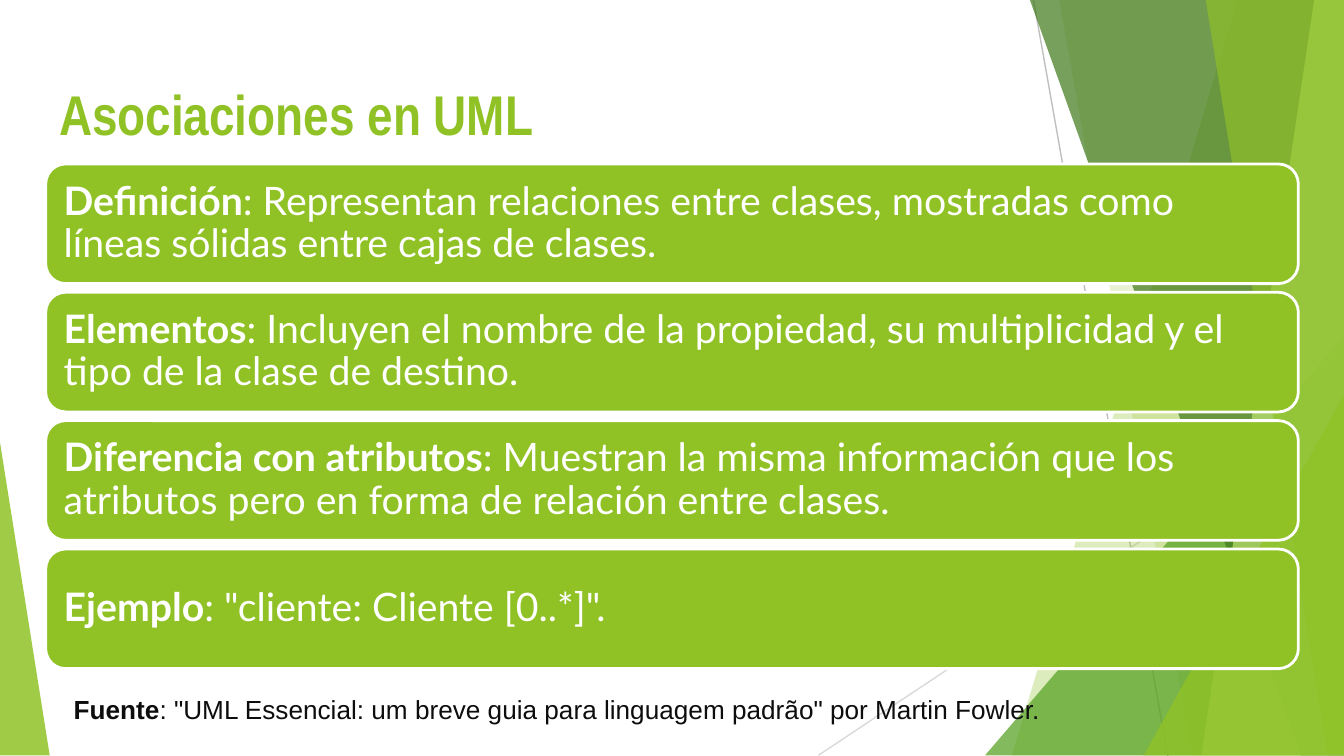
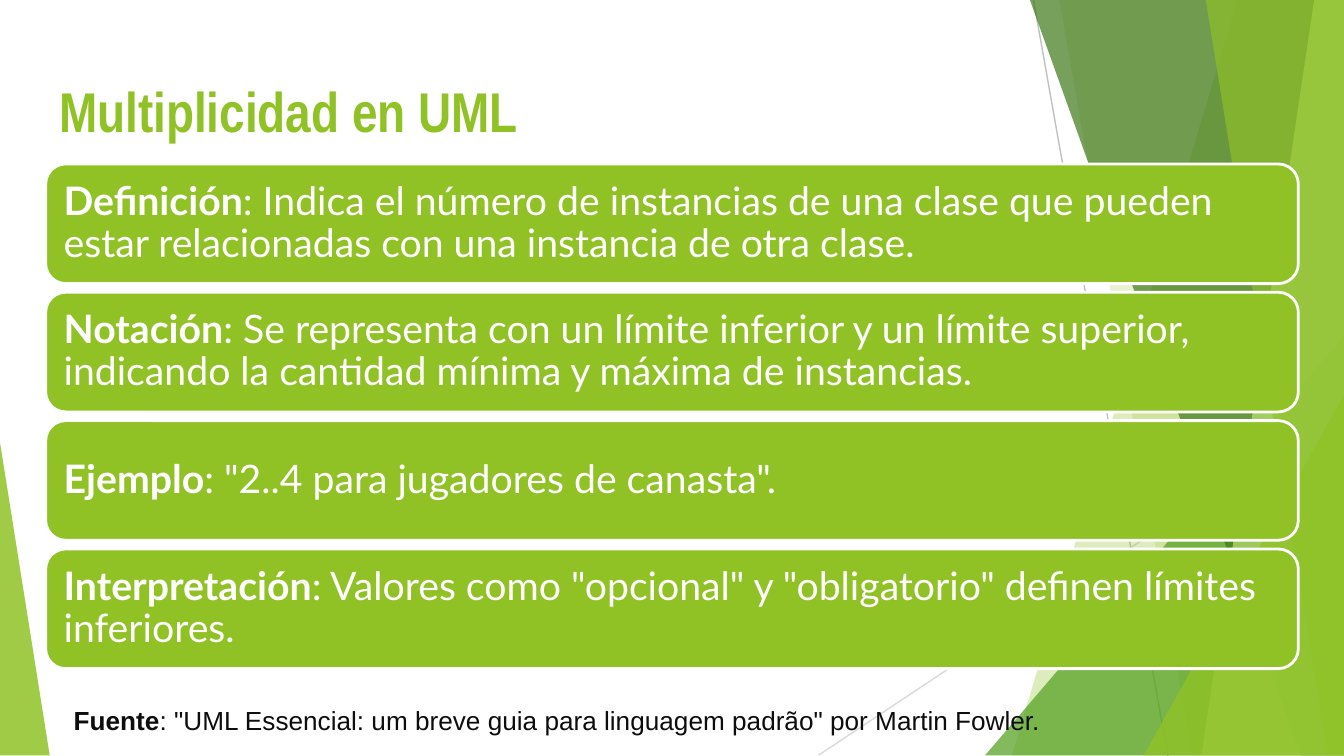
import pptx
import pptx.util
from lxml import etree
from pptx.dml.color import RGBColor
from pptx.enum.shapes import MSO_CONNECTOR, MSO_SHAPE
from pptx.enum.text import MSO_ANCHOR, MSO_AUTO_SIZE, PP_ALIGN
from pptx.oxml.ns import qn
from pptx.util import Inches

GREEN = RGBColor(0x90, 0xC2, 0x26)
MID_GREEN = RGBColor(0x54, 0xA0, 0x21)
DARK_GREEN = RGBColor(0x3F, 0x78, 0x19)
PALE_GREEN = RGBColor(0xC0, 0xE4, 0x74)
WHITE = RGBColor(0xFF, 0xFF, 0xFF)
INK = RGBColor(0x0D, 0x0D, 0x0D)
GREY = RGBColor(0xBF, 0xBF, 0xBF)
LIGHT_GREY = RGBColor(0xD9, 0xD9, 0xD9)

# Content
SOURCE = ("Fuente", ': "UML Essencial: um breve guia para linguagem padrão" por Martin Fowler.')
SLIDES = [
    {
        "title": "Asociaciones en UML",
        "title_top": 0.49,
        "source_top": 5.11,
        "source_width": 10.26,
        "cards": [
            ("Definición", ": Representan relaciones entre clases, mostradas como "
                           "líneas sólidas entre cajas de clases."),
            ("Elementos", ": Incluyen el nombre de la propiedad, su multiplicidad y el "
                          "tipo de la clase de destino."),
            ("Diferencia con atributos", ": Muestran la misma información que los "
                                         "atributos pero en forma de relación entre clases."),
            ("Ejemplo", ': "cliente: Cliente [0..*]".'),
        ],
    },
    {
        "title": "Multiplicidad en UML",
        "title_top": 0.47,
        "source_top": 5.19,
        "source_width": 9.21,
        "cards": [
            ("Definición", ": Indica el número de instancias de una clase que pueden "
                           "estar relacionadas con una instancia de otra clase."),
            ("Notación", ": Se representa con un límite inferior y un límite superior, "
                         "indicando la cantidad mínima y máxima de instancias."),
            ("Ejemplo", ': "2..4 para jugadores de canasta".'),
            ("Interpretación", ': Valores como "opcional" y "obligatorio" definen límites '
                               "inferiores."),
        ],
    },
]

# Shared geometry, in inches
WIDTH, HEIGHT = 10, 5.625
LEFT, CONTENT_WIDTH = 0.34, 9.32
CARD_TOP, CARD_HEIGHT, CARD_PITCH = 1.22, 0.89, 0.955
BAND_TOP, BAND_BOTTOM = -0.01, 5.62

RAYS = [((7.69, 0), (8.69, 5.63), GREY), ((10, 3.02), (6.09, 5.62), LIGHT_GREY)]
# Bands reach the right edge: top-left x, bottom-left x, colour, opacity %
# Triangles: left, top, width, height, apex position, colour, opacity %
BACKDROP = [
    ("band", 9.21, 7.53, GREEN, 30),
    ("band", 7.88, 8.87, GREEN, 20),
    ("triangle", 7.33, 2.5, 2.67, 3.12, 1, MID_GREEN, 72),
    ("band", 7.66, 9.68, DARK_GREEN, 70),
    ("band", 9.78, 8.94, PALE_GREEN, 70),
    ("band", 8.97, 9.88, GREEN, 65),
    ("triangle", 8.51, 2.94, 1.49, 2.68, 1, GREEN, 80),
    ("triangle", 0, 3.29, 0.37, 2.33, 0, GREEN, 85),
]


def box(*lengths):
    return [Inches(v) for v in lengths]


def write(tf, *texts, size, font, color, bold_first=True, inset=None,
          anchor=MSO_ANCHOR.TOP, spacing=None):
    """Write one left-aligned paragraph; the first run may be bold."""
    tf.word_wrap = True
    tf.vertical_anchor = anchor
    if inset is not None:
        tf.margin_left = tf.margin_top = tf.margin_right = tf.margin_bottom = Inches(inset)
    p = tf.paragraphs[0]
    p.alignment = PP_ALIGN.LEFT
    if spacing:
        p.line_spacing = spacing
    for i, text in enumerate(texts):
        r = p.add_run()
        r.text = text
        r.font.size = pptx.util.Pt(size)
        r.font.name = font
        r.font.color.rgb = color
        r.font.bold = bold_first and i == 0


def paint(sp, color, opacity=100):
    sp.shadow.inherit = False
    sp.fill.solid()
    sp.fill.fore_color.rgb = color
    sp.line.fill.background()
    if opacity < 100:
        clr = sp.fill._xPr.find(qn("a:solidFill"))[0]
        etree.SubElement(clr, qn("a:alpha")).set("val", str(opacity * 1000))


def add_backdrop(s):
    for start, end, color in RAYS:
        line = s.shapes.add_connector(MSO_CONNECTOR.STRAIGHT, *box(*start, *end))
        line.line.color.rgb = color
        line.line.width = pptx.util.Pt(0.75)
        etree.SubElement(line.element.spPr, qn("a:effectLst"))
    for kind, *geometry, color, opacity in BACKDROP:
        if kind == "band":
            top_x, bottom_x = geometry
            corners = [(WIDTH, BAND_TOP), (WIDTH, BAND_BOTTOM), (bottom_x, BAND_BOTTOM)]
            outline = s.shapes.build_freeform(*box(top_x, BAND_TOP))
            outline.add_line_segments([box(*c) for c in corners], close=True)
            sp = outline.convert_to_shape()
        else:
            *frame, apex = geometry
            sp = s.shapes.add_shape(MSO_SHAPE.ISOSCELES_TRIANGLE, *box(*frame))
            sp.adjustments[0] = apex
        paint(sp, color, opacity)


def add_title(s, text, top):
    title = s.shapes.title
    title.left, title.top, title.width, title.height = box(LEFT, top, CONTENT_WIDTH, 0.63)
    title.text_frame.auto_size = MSO_AUTO_SIZE.NONE
    write(title.text_frame, text, size=30, font="Arial Narrow", color=GREEN, inset=0.1)
    s.shapes.element.append(title.element)  # in front of the backdrop


def add_cards(s, cards):
    for i, (term, meaning) in enumerate(cards):
        top = CARD_TOP + i * CARD_PITCH
        sp = s.shapes.add_shape(MSO_SHAPE.ROUNDED_RECTANGLE,
                                *box(LEFT, top, CONTENT_WIDTH, CARD_HEIGHT))
        paint(sp, GREEN)
        sp.line.color.rgb = WHITE
        sp.line.width = pptx.util.Pt(1.5)
        write(sp.text_frame, term, meaning, size=21, font="Lato", color=WHITE,
              inset=0.09, anchor=MSO_ANCHOR.MIDDLE, spacing=0.9)


def add_source(s, top, width):
    tf = s.shapes.add_textbox(*box(0.45, top, width, 0.34)).text_frame
    tf.auto_size = MSO_AUTO_SIZE.SHAPE_TO_FIT_TEXT
    write(tf, *SOURCE, size=14, font="Arial", color=INK)


def main():
    prs = pptx.Presentation()
    prs.slide_width, prs.slide_height = box(WIDTH, HEIGHT)
    for content in SLIDES:
        s = prs.slides.add_slide(prs.slide_layouts[5])
        add_backdrop(s)
        add_title(s, content["title"], content["title_top"])
        add_cards(s, content["cards"])
        add_source(s, content["source_top"], content["source_width"])
    prs.save("out.pptx")


if __name__ == "__main__":
    main()
